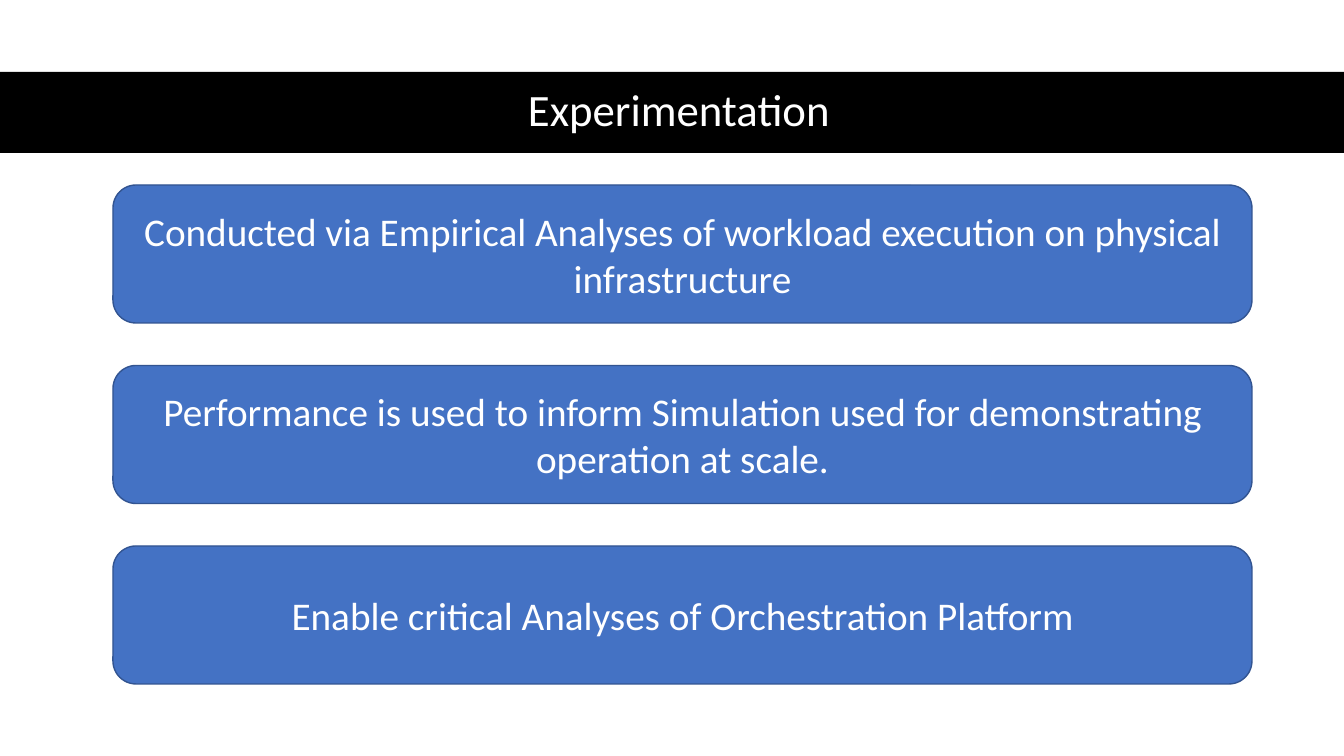
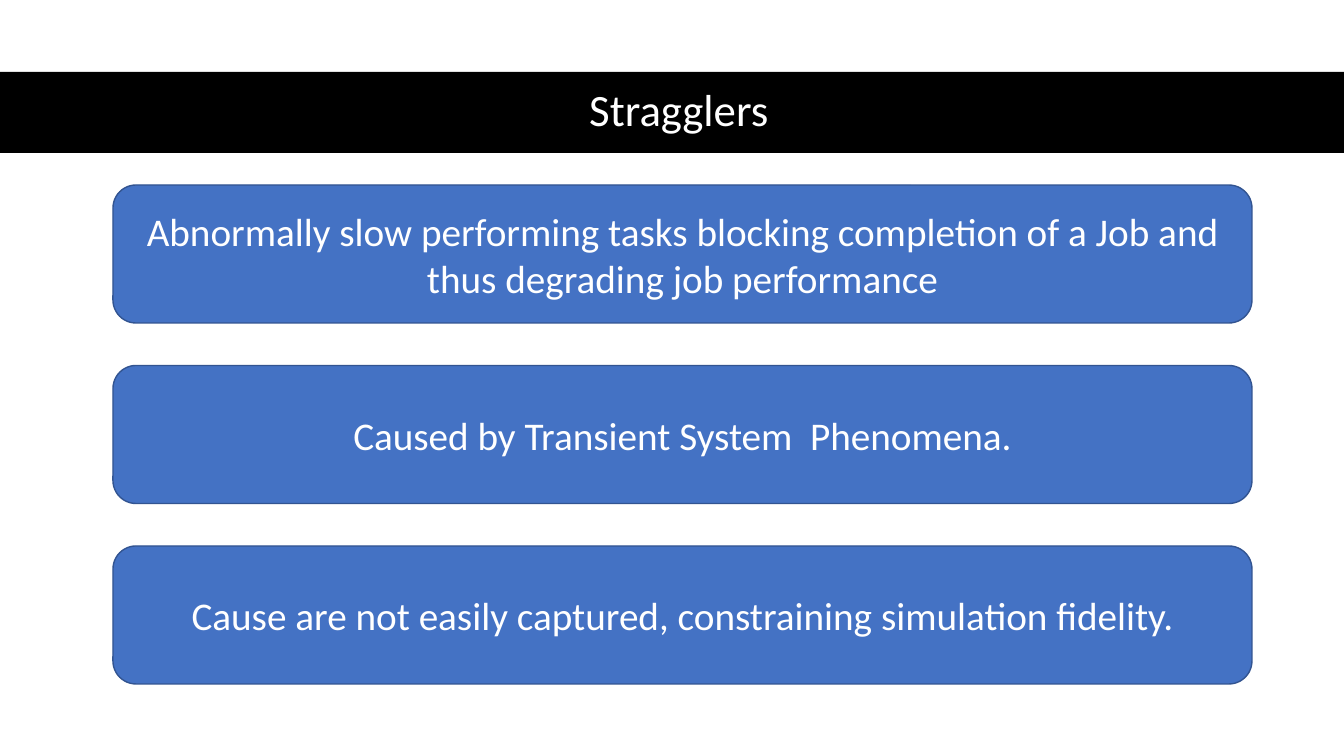
from pptx import Presentation
from pptx.dml.color import RGBColor
from pptx.enum.shapes import MSO_SHAPE as Shape
from pptx.enum.text import MSO_ANCHOR as Anchor, MSO_AUTO_SIZE as AutoSize, PP_ALIGN as Align
from pptx.util import Emu, Pt

PIXEL = 914400 / 100.8
SLIDE_WIDTH, SLIDE_HEIGHT = 1344, 756
BAND_BOX = (0, 72, SLIDE_WIDTH, 81)
CARDS_BOX = (113, 185, 1139, 499)
CARD_HEIGHT = 138
TITLE_INSET = 61
TITLE_WIDTH = 1236
FONT = "Calibri"
BLACK, WHITE = "000000", "FFFFFF"
CARD_FILL, CARD_LINE = "4472C4", "325491"
TITLE_ONLY = 5

SLIDES = [
    ("Experimentation", [
        "Conducted via Empirical Analyses of workload execution on physical infrastructure",
        "Performance is used to inform Simulation used for demonstrating operation at scale.",
        "Enable critical Analyses of Orchestration Platform",
    ]),
    ("Stragglers", [
        "Abnormally slow performing tasks blocking completion of a Job and "
        "thus degrading job performance",
        "Caused by Transient System  Phenomena.",
        "Cause are not easily captured, constraining simulation fidelity.",
    ]),
]


def px(length):
    """Turn pixels into EMU."""
    return Emu(round(length * PIXEL))


def color(hex_string):
    """Turn a hex string into a colour."""
    return RGBColor.from_string(hex_string)


def write_text(shape, text, size):
    """Write one centred white paragraph and return it."""
    frame = shape.text_frame
    frame.text = text
    frame.word_wrap = True
    frame.auto_size = AutoSize.NONE
    frame.vertical_anchor = Anchor.MIDDLE
    paragraph = frame.paragraphs[0]
    paragraph.alignment = Align.CENTER
    font = paragraph.runs[0].font
    font.name = FONT
    font.size = Pt(size)
    font.color.rgb = color(WHITE)
    return paragraph


def add_block(slide, kind, box, fill, line=None):
    """Add a filled shape, outlined when a line colour is given."""
    shape = slide.shapes.add_shape(kind, *map(px, box))
    shape.shadow.inherit = False
    shape.fill.solid()
    shape.fill.fore_color.rgb = color(fill)
    if line:
        shape.line.color.rgb = color(line)
        shape.line.width = Pt(1)
    else:
        shape.line.fill.background()
    return shape


def add_title_band(slide, box, text):
    """Lay the title over a full-width band."""
    left, top, _, height = box
    band = add_block(slide, Shape.RECTANGLE, box, BLACK)
    title = slide.shapes.title
    title._element.addprevious(band._element)
    title.left, title.top = px(left + TITLE_INSET), px(top - 1)
    title.width, title.height = px(TITLE_WIDTH), px(height)
    write_text(title, text, 32).line_spacing = 0.9


def add_cards(slide, box, texts):
    """Stack rounded cards evenly from the top to the bottom of the box."""
    left, top, width, height = box
    pitch = (height - CARD_HEIGHT) / (len(texts) - 1)
    for index, text in enumerate(texts):
        card_box = (left, top + index * pitch, width, CARD_HEIGHT)
        card = add_block(slide, Shape.ROUNDED_RECTANGLE, card_box, CARD_FILL, CARD_LINE)
        write_text(card, text, 28)


def add_card_slide(presentation, title, texts):
    """Add a slide with a title band and a stack of cards."""
    slide = presentation.slides.add_slide(presentation.slide_layouts[TITLE_ONLY])
    add_title_band(slide, BAND_BOX, title)
    add_cards(slide, CARDS_BOX, texts)


def main():
    """Build and save the presentation."""
    presentation = Presentation()
    presentation.slide_width = px(SLIDE_WIDTH)
    presentation.slide_height = px(SLIDE_HEIGHT)
    for title, texts in SLIDES:
        add_card_slide(presentation, title, texts)
    presentation.save("out.pptx")


main()
